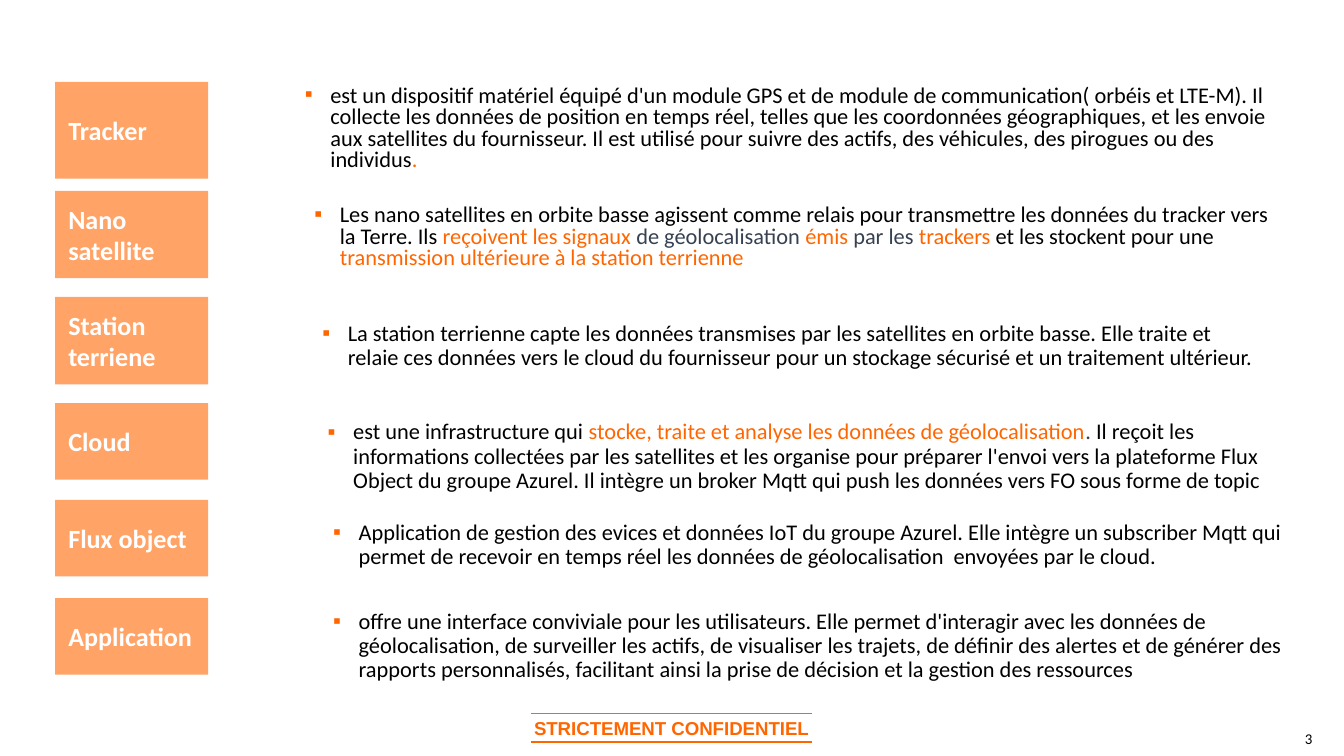
from lxml.etree import SubElement
from pptx import Presentation
from pptx.dml.color import RGBColor
from pptx.enum.shapes import MSO_CONNECTOR, MSO_SHAPE
from pptx.enum.text import MSO_ANCHOR, MSO_AUTO_SIZE, PP_ALIGN
from pptx.oxml.ns import qn
from pptx.util import Inches, Pt

ORANGE = RGBColor(0xFF, 0x66, 0x00)
PEACH = RGBColor(0xFF, 0xA3, 0x66)
SLATE = RGBColor(0x37, 0x41, 0x51)
BLACK = RGBColor(0, 0, 0)
WHITE = RGBColor(255, 255, 255)

ROWS = [
    ("Tracker", (0.41, 0.61, 1.14, 0.72), (2.17, 0.59, 7.53, 0.75), 0.8, [
        ("est un dispositif matériel équipé d'un module GPS et de module de "
         "communication( orbéis et LTE-M). Il collecte les données de position "
         "en temps réel, telles que les coordonnées géographiques, et les envoie "
         "aux satellites du fournisseur. Il est utilisé pour suivre des actifs, "
         "des véhicules, des pirogues ou des individus", BLACK),
        (".", ORANGE)]),
    ("Nano satellite", (0.41, 1.42, 1.14, 0.65), (2.24, 1.48, 7.35, 0.59), 0.8, [
        ("Les nano satellites en orbite basse agissent comme relais pour "
         "transmettre les données du tracker vers la Terre. Ils ", BLACK),
        ("reçoivent les signaux ", ORANGE),
        ("de géolocalisation ", SLATE),
        ("émis", ORANGE),
        (" par les", SLATE),
        (" trackers ", ORANGE),
        ("et les stockent pour une ", BLACK),
        ("transmission ultérieure à la station terrienne", ORANGE)]),
    ("Station terriene", (0.41, 2.21, 1.14, 0.65), (2.3, 2.35, 7.16, 0.46), 0.9, [
        ("La station terrienne capte les données transmises par les satellites "
         "en orbite basse. Elle traite et relaie ces données vers le cloud du "
         "fournisseur pour un stockage sécurisé et un traitement ultérieur.",
         BLACK)]),
    ("Cloud", (0.41, 3, 1.14, 0.57), (2.34, 3.08, 7.26, 0.65), 0.9, [
        ("est une infrastructure qui ", BLACK),
        ("stocke, traite et analyse les données de géolocalisation", ORANGE),
        (". ", SLATE),
        ("Il reçoit les informations collectées par les satellites et les "
         "organise pour préparer l'envoi vers la plateforme Flux Object du "
         "groupe Azurel. Il intègre un broker Mqtt qui push les données vers FO "
         "sous forme de topic", BLACK)]),
    ("Flux object", (0.41, 3.72, 1.14, 0.57), (2.38, 3.83, 7.35, 0.46), 0.9, [
        ("Application de gestion des evices et données IoT du groupe Azurel. "
         "Elle intègre un subscriber Mqtt qui permet de recevoir en temps réel "
         "les données de géolocalisation  envoyées par le cloud.", BLACK)]),
    ("Application", (0.41, 4.45, 1.14, 0.57), (2.38, 4.49, 7.35, 0.65), 0.9, [
        ("offre une interface conviviale pour les utilisateurs. Elle permet "
         "d'interagir avec les données de géolocalisation, de surveiller les "
         "actifs, de visualiser les trajets, de définir des alertes et de générer "
         "des rapports personnalisés, facilitant ainsi la prise de décision et la "
         "gestion des ressources", BLACK)]),
]


def style(run, size, color, name="Calibri", bold=False):
    """Set the font of a run."""
    font = run.font
    font.name, font.size, font.bold = name, Pt(size), bold
    font.color.rgb = color


def indent(para, size):
    """Give a paragraph a hanging indent and return its properties."""
    props = para._p.get_or_add_pPr()
    props.set("marL", str(Inches(size)))
    props.set("indent", str(-Inches(size)))
    return props


def bullet(para):
    """Put an orange square before a paragraph."""
    props = indent(para, 0.19)
    color = SubElement(props, qn("a:buClr"))
    SubElement(color, qn("a:srgbClr"), val=str(ORANGE))
    SubElement(props, qn("a:buFont"), typeface="Arial")
    SubElement(props, qn("a:buChar"), char="▪")


def add_text(slide, box):
    """Add a wrapping text box and return its frame."""
    frame = slide.shapes.add_textbox(*map(Inches, box)).text_frame
    frame.word_wrap = True
    return frame


def add_label(slide, box, text):
    """Draw the filled label of a component."""
    label = slide.shapes.add_shape(MSO_SHAPE.RECTANGLE, *map(Inches, box))
    label.shadow.inherit = False
    label.fill.solid()
    label.fill.fore_color.rgb = PEACH
    label.line.fill.background()
    frame = label.text_frame
    frame.vertical_anchor = MSO_ANCHOR.MIDDLE
    frame.text = text
    para = frame.paragraphs[0]
    para.alignment = PP_ALIGN.LEFT
    para.space_before = Pt(6)
    style(para.runs[0], 14, WHITE, bold=True)


def add_note(slide, box, parts, spacing):
    """Write the bulleted description of a component."""
    frame = add_text(slide, box)
    frame.auto_size = MSO_AUTO_SIZE.SHAPE_TO_FIT_TEXT
    para = frame.paragraphs[0]
    para.line_spacing = spacing
    para.space_before = Pt(6)
    bullet(para)
    for text, color in parts:
        run = para.add_run()
        run.text = text
        style(run, 12, color)


def add_stamp(slide, box):
    """Write the confidentiality mark between two rules."""
    left, top, width, height = box
    frame = add_text(slide, box)
    frame.margin_left = frame.margin_right = 0
    frame.margin_top = frame.margin_bottom = Inches(0.02)
    frame.vertical_anchor = MSO_ANCHOR.MIDDLE
    frame.text = "STRICTEMENT CONFIDENTIEL"
    para = frame.paragraphs[0]
    para.alignment = PP_ALIGN.CENTER
    indent(para, 0.11)
    style(para.runs[0], 10, ORANGE, "Arial", True)
    for y in (top, top + height):
        ends = map(Inches, (left, y, left + width, y))
        rule = slide.shapes.add_connector(MSO_CONNECTOR.STRAIGHT, *ends)
        rule.line.color.rgb = ORANGE
        rule.line.width = Pt(0.75)
        SubElement(rule._element.spPr, qn("a:effectLst"))


def add_number(slide, box):
    """Write the page number at the foot of its box."""
    frame = add_text(slide, box)
    frame.margin_left = frame.margin_right = 0
    frame.margin_top = frame.margin_bottom = 0
    frame.vertical_anchor = MSO_ANCHOR.BOTTOM
    frame.text = "3"
    para = frame.paragraphs[0]
    para.line_spacing = 0.85
    para.space_after = Pt(12)
    style(para.runs[0], 8, BLACK)


def main():
    """Build the slide and save it."""
    deck = Presentation()
    deck.slide_width = Inches(10)
    deck.slide_height = deck.slide_width * 9 // 16
    slide = deck.slides.add_slide(deck.slide_layouts[6])
    add_number(slide, (9.71, 5.19, 0.3, 0.37))
    add_stamp(slide, (3.95, 5.31, 2.09, 0.21))
    for name, label, note, spacing, parts in ROWS:
        add_label(slide, label, name)
        add_note(slide, note, parts, spacing)
    deck.save("out.pptx")


if __name__ == "__main__":
    main()
